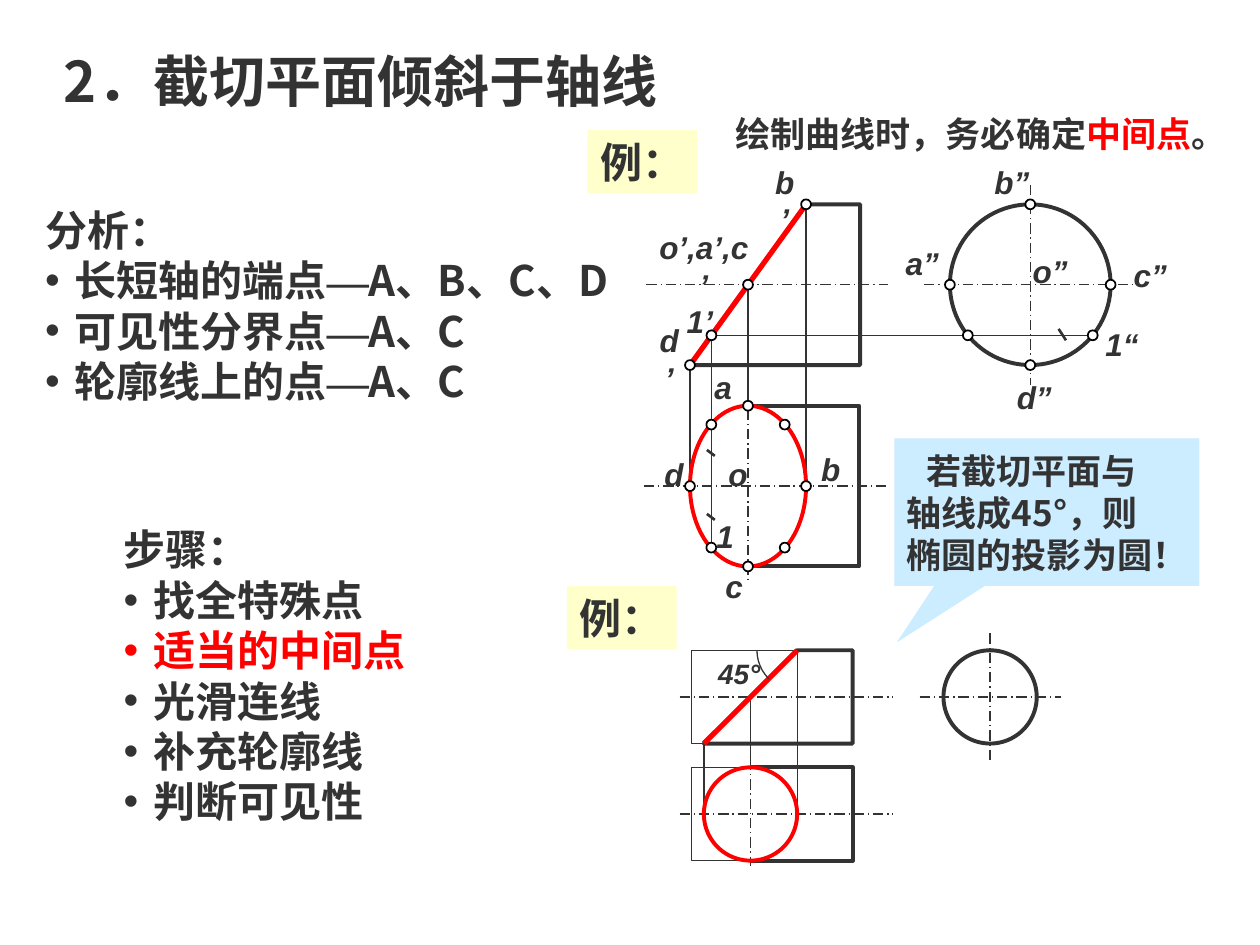
from dataclasses import dataclass
from math import sqrt

from pptx import Presentation
from pptx import util as u
from pptx.dml.color import RGBColor
from pptx.enum import dml, shapes, text
from pptx.oxml import ns
from lxml import etree


@dataclass(frozen=True)
class Theme:
    ink: str = "333333"
    red: str = "FF0000"
    white: str = "FFFFFF"
    black: str = "000000"
    cream: str = "FFFFCC"
    sky: str = "CCECFF"
    cjk: str = "Noto Sans CJK SC"
    latin: str = "Arial"
    serif: str = "Times New Roman"
    head: float = 32
    body: float = 24
    note: float = 20
    mark: float = 18
    angle: float = 16
    thin: float = 0.75
    mid: float = 1.5
    bold: float = 2.25
    cut: float = 3


@dataclass(frozen=True)
class Box:
    x: float
    y: float
    w: float
    h: float

    def at(self, dx, dy):
        return u.Cm(self.x + dx), u.Cm(self.y + dy)

    def rect(self):
        return (*self.at(0, 0), u.Cm(self.w), u.Cm(self.h))

    def sub(self, dx, dy, w, h):
        return Box(self.x + dx, self.y + dy, w, h)


T = Theme()
KIND = shapes.MSO_SHAPE
DASH = dml.MSO_LINE.LONG_DASH_DOT
CENTER = text.PP_ALIGN.CENTER


def rgb(color):
    return RGBColor.from_string(color)


def write(para, words, size=T.body, color=T.ink, face=T.cjk, italic=False):
    run = para.add_run()
    run.text = words
    font = run.font
    font.size, font.bold, font.italic = u.Pt(size), True, italic
    font.color.rgb = rgb(color)
    font.name = face
    etree.SubElement(font._element, ns.qn("a:ea"), typeface=face)
    return run


def tight(para, size, align=text.PP_ALIGN.LEFT):
    para.alignment = align
    para.space_before = para.space_after = u.Pt(0)
    para.line_spacing = u.Pt(size * 1.2)


def setup(frame, inset=0.25):
    frame.word_wrap = True
    frame.auto_size = text.MSO_AUTO_SIZE.NONE
    frame.vertical_anchor = text.MSO_ANCHOR.MIDDLE
    frame.margin_left = frame.margin_right = u.Cm(inset)
    frame.margin_top = frame.margin_bottom = u.Cm(0.13)
    return frame


def place(shape, box):
    shape.left, shape.top, shape.width, shape.height = box.rect()
    return setup(shape.text_frame)


def paint(shape, fill=None, line=None, width=T.bold):
    shape.shadow.inherit = False
    if fill:
        shape.fill.solid()
        shape.fill.fore_color.rgb = rgb(fill)
    else:
        shape.fill.background()
    if line:
        shape.line.color.rgb = rgb(line)
        shape.line.width = u.Pt(width)
    else:
        shape.line.fill.background()
    return shape


def form(slide, kind, box, **look):
    return paint(slide.shapes.add_shape(kind, *box.rect()), **look)


def outline(slide, box, points, close=True, **look):
    spots = [box.at(*point) for point in points]
    path = slide.shapes.build_freeform(*spots[0])
    path.add_line_segments(spots[1:], close=close)
    return paint(path.convert_to_shape(), **look)


def rule(slide, box, start, end, color=T.ink, width=T.thin, dash=None):
    line = slide.shapes.add_connector(
        shapes.MSO_CONNECTOR.STRAIGHT, *box.at(*start), *box.at(*end))
    line.line.color.rgb = rgb(color)
    line.line.width = u.Pt(width)
    if dash:
        line.line.dash_style = dash
    etree.SubElement(line._element.spPr, ns.qn("a:effectLst"))


def dots(slide, box, points, size=0.2):
    for x, y in points:
        form(slide, KIND.FLOWCHART_CONNECTOR,
             box.sub(x - size / 2, y - size / 2, size, size),
             fill=T.white, line=T.black, width=1)


def label(slide, box, words, x, y, w=1.5, size=T.mark):
    area = box.sub(x - w / 2, y - 0.5, w, 1)
    frame = setup(slide.shapes.add_textbox(*area.rect()).text_frame)
    frame.paragraphs[0].alignment = CENTER
    write(frame.paragraphs[0], words, size=size, face=T.latin, italic=True)


def title(slide, box, words):
    para = place(slide.shapes.title, box).paragraphs[0]
    tight(para, T.head)
    write(para, words, size=T.head)


def points(holder, box, head, items):
    frame = place(holder, box)
    for i, runs in enumerate([[(head, {})], *items]):
        para = frame.paragraphs[0] if i == 0 else frame.add_paragraph()
        props = para._p.get_or_add_pPr()
        gap = u.Cm(0.6) if i else 0
        props.set("marL", str(gap))
        props.set("indent", str(-gap))
        if i:
            etree.SubElement(props, ns.qn("a:buChar"), char="•")
        else:
            etree.SubElement(props, ns.qn("a:buNone"))
        tight(para, T.body)
        for words, style in runs:
            write(para, words, **style)


def note(slide, box):
    para = setup(slide.shapes.add_textbox(*box.rect()).text_frame).paragraphs[0]
    tight(para, T.note)
    for words, color in (("绘制曲线时，务必确定", T.ink), ("中间点", T.red), ("。", T.ink)):
        write(para, words, size=T.note, color=color)


def tag(slide, box):
    para = setup(form(slide, KIND.RECTANGLE, box, fill=T.cream).text_frame, 0).paragraphs[0]
    tight(para, T.body, CENTER)
    write(para, "例：")


def callout(slide, box):
    outline(slide, box, [(0.89, 2.84), (0.05, 4.11), (1.86, 2.95)], fill=T.sky)
    frame = setup(form(slide, KIND.RECTANGLE, box, fill=T.sky).text_frame)
    frame.margin_right = 0
    for i, words in enumerate(("若截切平面与", "轴线成45°，则", "椭圆的投影为圆！")):
        para = frame.paragraphs[0] if i == 0 else frame.add_paragraph()
        if i == 0:
            para._p.get_or_add_pPr().set("indent", str(u.Cm(0.4)))
        tight(para, T.note)
        write(para, words, size=T.note)


def links(slide, front, side, plan, run, low):
    drop = plan.y - front.y
    mid = drop + plan.h / 2
    x = run * (1 - low / front.h)
    rule(slide, front, (run, 0), (run, mid))
    rule(slide, front, (run / 2, front.h / 2), (run / 2, drop - 0.31))
    rule(slide, front, (0, front.h), (0, mid))
    rule(slide, front, (x, low), (x, drop + 2.87))
    rule(slide, front, (x, low), (side.x - front.x + 2.9, low))


def elevation(slide, box, run, low):
    w, h = box.w, box.h
    rule(slide, box, (-0.88, h / 2), (4, h / 2), dash=DASH)
    outline(slide, box, [(0, h), (run, 0), (w, 0), (w, h)], line=T.ink)
    rule(slide, box, (run, 0), (0, h), color=T.red, width=T.cut)
    dots(slide, box, [(run * (1 - y / h), y) for y in (0, h / 2, low, h)])
    for mark in (("b’", 1.91, -0.08, 0.97), ("o’,a’,c’", 0.28, 1.24, 2.36),
                 ("d’", -0.42, 3.12, 0.97), ("1’", 0.2, 2.36)):
        label(slide, box, *mark)


def profile(slide, box, over, wide):
    r = box.w / 2
    rule(slide, box, (r, -over), (r, box.h + over), dash=DASH)
    rule(slide, box, (-wide, r), (box.w + wide, r), dash=DASH)
    form(slide, KIND.OVAL, box, line=T.ink)


def circle(slide, box, low):
    profile(slide, box, 0.4, 0.52)
    r = box.w / 2
    half = sqrt(r ** 2 - (low - r) ** 2)
    rule(slide, box, (2.19, 2.51), (2.34, 2.74), width=T.mid)
    dots(slide, box, [(r, 0), (r, 2 * r), (0, r), (2 * r, r),
                      (r - half, low), (r + half, low)])
    for mark in (("o”", 2.02, 1.34), ("a”", -0.56, 1.19), ("b”", 1.25, -0.46),
                 ("c”", 4.04, 1.42), ("d”", 1.7, 3.88), ("1“", 3.47, 2.81)):
        label(slide, box, *mark)


def ellipse(slide, box, run):
    w, h, mid = box.w, box.h, run / 2
    rule(slide, box, (-0.93, h / 2), (3.97, h / 2), dash=DASH)
    rule(slide, box, (mid, -0.31), (mid, h + 0.3), dash=DASH)
    outline(slide, box, [(mid, 0), (w, 0), (w, h), (mid, h)], close=False, line=T.ink)
    form(slide, KIND.OVAL, box.sub(0, 0, run, h), line=T.red)
    for y in (0.89, 2.18):
        rule(slide, box, (0.34, y), (0.5, y + 0.12), width=T.mid)
    dots(slide, box, [(mid, 0), (mid, h), (0, h / 2), (run, h / 2)])
    dots(slide, box, [(x, y) for x in (0.43, run - 0.43) for y in (0.38, h - 0.38)])
    for mark in (("a", 0.67, -0.38), ("c", 0.89, 3.63), ("o", 0.97, 1.37),
                 ("d", -0.32, 1.37), ("b", 2.84, 1.27), ("1", 0.71, 2.62)):
        label(slide, box, *mark)


def diagonal(slide, box, drop):
    w, h, left = box.w, box.h, 0.25
    mid, right = left + h / 2, left + h
    plan = box.sub(0, drop, w, h)
    for view in (box, plan):
        form(slide, KIND.RECTANGLE, view, line=T.ink, width=T.thin)
        rule(slide, view, (-0.24, h / 2), (4.06, h / 2), dash=DASH)
    outline(slide, box, [(left, h), (right, 0), (w, 0), (w, h)], line=T.ink)
    for x, y, end in ((mid, h / 2, drop - 0.15), (left, h, drop + h / 2),
                      (right, 0, drop + h / 2)):
        rule(slide, box, (x, y), (x, end))
    rule(slide, plan, (mid, -0.15), (mid, h + 0.1), dash=DASH)
    rule(slide, box, (left, h), (right, 0), color=T.red, width=T.cut)
    outline(slide, plan, [(mid, 0), (w, 0), (w, h), (mid, h)], close=False, line=T.ink)
    form(slide, KIND.OVAL, plan.sub(left, 0, h, h), line=T.red)
    r = 0.81
    arc = form(slide, KIND.ARC, box.sub(right - r, -r, 2 * r, 2 * r),
               line=T.ink, width=T.thin)
    arc.adjustments[0], arc.adjustments[1] = 135 * 0.6, 180 * 0.6
    label(slide, box, "45°", 0.96, 0.47, 1.65, T.angle)


def main():
    deck = Presentation()
    deck.slide_width, deck.slide_height = u.Cm(25.4), u.Cm(19.05)
    slide = deck.slides.add_slide(deck.slide_layouts[3])
    first, second = list(slide.placeholders)[1:3]
    title(slide, Box(1.04, 0.81, 24.36, 1.6), "2．截切平面倾斜于轴线")
    ends = (("长短轴的端点", "A、B、C、D"), ("可见性分界点", "A、C"), ("轮廓线上的点", "A、C"))
    points(first, Box(0.66, 3.99, 24.38, 4.32), "分析：",
           [[(name, {}), ("—", {"face": T.serif}), (spots, {})] for name, spots in ends])
    steps = ("找全特殊点", "适当的中间点", "光滑连线", "补充轮廓线", "判断可见性")
    points(second, Box(2.24, 10.41, 21.82, 6.4), "步骤：",
           [[(step, {"color": T.red if i == 1 else T.ink})] for i, step in enumerate(steps)])
    note(slide, Box(14.58, 2.13, 10.82, 1.12))
    front, side = Box(13.91, 4.12, 3.43, 3.24), Box(19.15, 4.12, 3.24, 3.24)
    plan, run, low = Box(13.91, 8.18, 3.41, 3.24), 2.34, 2.64
    links(slide, front, side, plan, run, low)
    elevation(slide, front, run, low)
    circle(slide, side, low)
    ellipse(slide, plan, run)
    callout(slide, Box(18.03, 8.84, 6.15, 2.97))
    diagonal(slide, Box(13.94, 13.11, 3.25, 1.88), 2.36)
    profile(slide, Box(19.02, 13.11, 1.88, 1.88), 0.34, 0.48)
    for x, y in ((11.84, 2.62), (11.43, 11.81)):
        tag(slide, Box(x, y, 2.21, 1.27))
    deck.save("out.pptx")


if __name__ == "__main__":
    main()
